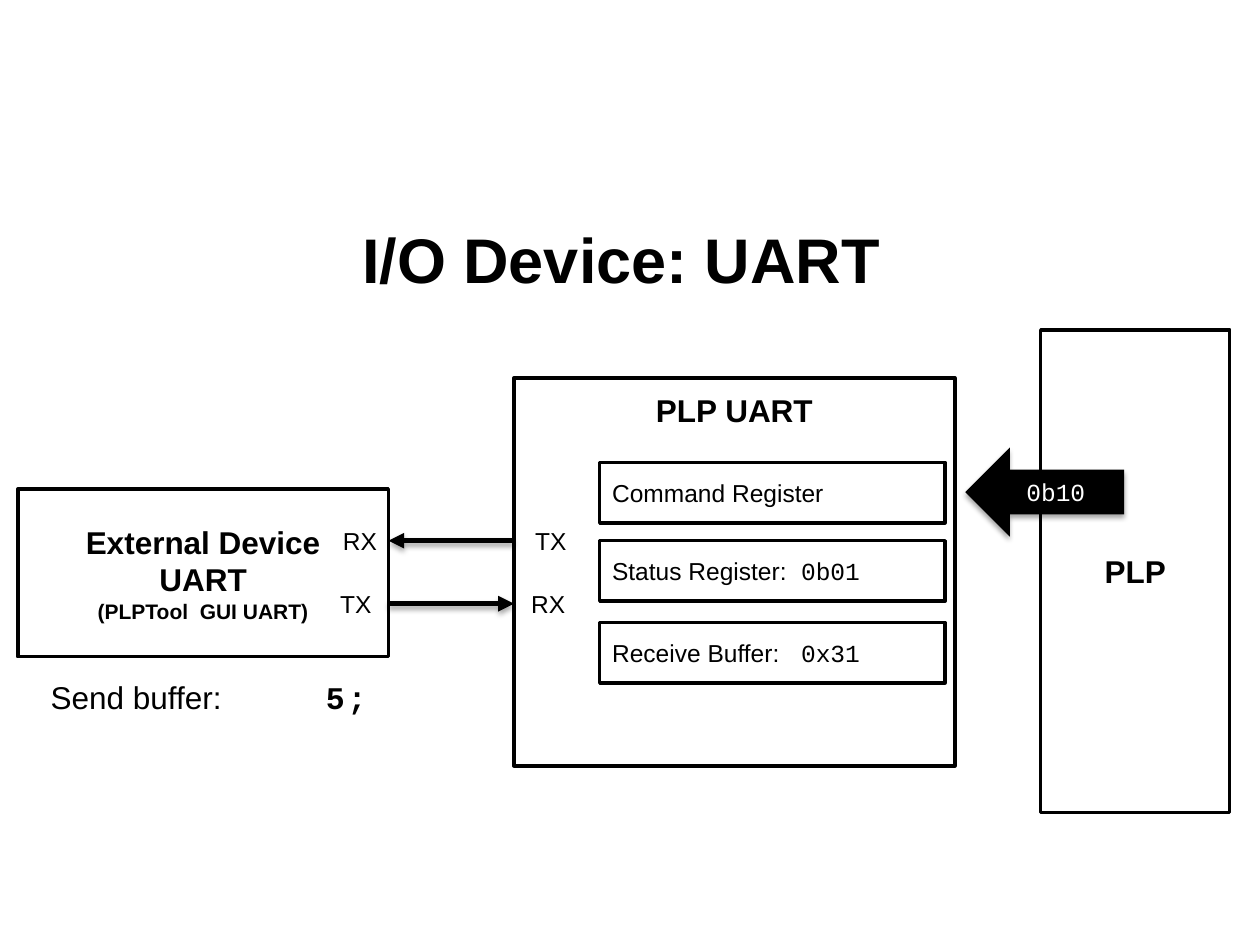
from dataclasses import dataclass

from lxml import etree
from pptx import Presentation
from pptx.dml.color import RGBColor
from pptx.enum.shapes import MSO_CONNECTOR, MSO_SHAPE
from pptx.enum.text import MSO_ANCHOR, PP_ALIGN
from pptx.oxml.ns import qn
from pptx.util import Cm, Pt

RECTANGLE = MSO_SHAPE.RECTANGLE
LEFT_ARROW = MSO_SHAPE.LEFT_ARROW
STRAIGHT = MSO_CONNECTOR.STRAIGHT
LEFT, CENTER, RIGHT = PP_ALIGN.LEFT, PP_ALIGN.CENTER, PP_ALIGN.RIGHT
TOP, MIDDLE = MSO_ANCHOR.TOP, MSO_ANCHOR.MIDDLE


@dataclass(frozen=True)
class Theme:
    black: RGBColor = RGBColor(0, 0, 0)
    white: RGBColor = RGBColor(255, 255, 255)
    font: str = "Arial"
    code_font: str = "Courier New"
    title: int = 36
    heading: int = 18
    label: int = 14
    note: int = 12
    outline: int = 2
    wire: int = 3


class Diagram:
    def __init__(self, slide, theme):
        self.slide = slide
        self.theme = theme

    def format_run(self, run, size, bold=False, code=False, color=None):
        font = run.font
        font.name = self.theme.code_font if code else self.theme.font
        font.size = Pt(size)
        font.bold = bold
        font.color.rgb = color or self.theme.black

    def fill_text(self, shape, text, size, align=LEFT, anchor=MIDDLE, **style):
        frame = shape.text_frame
        frame.text = text
        frame.vertical_anchor = anchor
        for paragraph in frame.paragraphs:
            paragraph.alignment = align
            for run in paragraph.runs:
                self.format_run(run, size, **style)
        return frame

    def text(self, box, text, size, align=LEFT, anchor=TOP, wrap=False, **style):
        shape = self.slide.shapes.add_textbox(*map(Cm, box))
        self.fill_text(shape, text, size, align, anchor, **style).word_wrap = wrap

    def block(self, box):
        shape = self.slide.shapes.add_shape(RECTANGLE, *map(Cm, box))
        shape.shadow.inherit = False
        shape.fill.solid()
        shape.fill.fore_color.rgb = self.theme.white
        shape.line.color.rgb = self.theme.black
        shape.line.width = Pt(self.theme.outline)
        return shape

    def register(self, box, label, value):
        size = self.theme.label
        text = f"{label}\t" if value else label
        paragraph = self.fill_text(self.block(box), text, size).paragraphs[0]
        if value:
            run = paragraph.add_run()
            run.text = value
            self.format_run(run, size, code=True)

    def drop_shadow(self, properties):
        effects = properties.find(qn("a:effectLst"))
        if effects is None:
            effects = etree.SubElement(properties, qn("a:effectLst"))
        shadow = etree.SubElement(
            effects, qn("a:outerShdw"), blurRad=str(Pt(3.1)),
            dist=str(Pt(1.8)), dir="5400000", rotWithShape="0")
        color = etree.SubElement(shadow, qn("a:srgbClr"), val=str(self.theme.black))
        etree.SubElement(color, qn("a:alpha"), val="35000")

    def wire(self, start, end, y):
        connector = self.slide.shapes.add_connector(
            STRAIGHT, Cm(start), Cm(y), Cm(end), Cm(y))
        connector.line.color.rgb = self.theme.black
        connector.line.width = Pt(self.theme.wire)
        properties = connector._element.spPr
        etree.SubElement(properties.find(qn("a:ln")), qn("a:tailEnd"), type="triangle")
        self.drop_shadow(properties)

    def block_arrow(self, box, text):
        shape = self.slide.shapes.add_shape(LEFT_ARROW, *map(Cm, box))
        shape.shadow.inherit = False
        shape.fill.solid()
        shape.fill.fore_color.rgb = self.theme.black
        shape.line.fill.background()
        self.drop_shadow(shape._element.spPr)
        self.fill_text(shape, text, self.theme.label, CENTER,
                       code=True, color=self.theme.white)


def main():
    presentation = Presentation()
    presentation.slide_width = Cm(25.4)
    presentation.slide_height = Cm(19.05)
    slide = presentation.slides.add_slide(presentation.slide_layouts[6])
    theme = Theme()
    diagram = Diagram(slide, theme)

    # Title
    diagram.text((1.27, 3.61, 22.86, 3.18), "I/O Device: UART ", theme.title,
                 CENTER, MIDDLE, wrap=True, bold=True)

    # External device and UART blocks
    external = diagram.block((0.36, 9.86, 7.47, 3.38))
    frame = diagram.fill_text(external, "External Device\nUART\n(PLPTool  GUI UART)",
                              theme.heading, CENTER, bold=True)
    frame.paragraphs[-1].runs[0].font.size = Pt(theme.note)
    diagram.block((10.36, 7.62, 8.89, 7.82))
    diagram.text((12.95, 7.75, 3.71, 1.02), "PLP UART", theme.heading,
                 CENTER, bold=True)

    # Pins and the wires between them
    external_edge, uart_edge = 7.83, 10.36
    pin_widths = {"RX": 1.22, "TX": 1.14}
    pin_rows = [
        (10.9, ("RX", 6.63), ("TX", 10.54), (uart_edge, external_edge)),
        (12.17, ("TX", 6.6), ("RX", 10.46), (external_edge, uart_edge)),
    ]
    for y, external_pin, uart_pin, (start, end) in pin_rows:
        for (name, left), align in ((external_pin, RIGHT), (uart_pin, LEFT)):
            diagram.text((left, y - 0.43, pin_widths[name], 0.86), name,
                         theme.label, align)
        diagram.wire(start, end, y)

    # Registers
    registers = [
        (9.32, "Command Register", None),
        (10.9, "Status Register:", "0b01"),
        (12.55, "Receive Buffer:", "0x31"),
    ]
    for top, label, value in registers:
        diagram.register((12.09, top, 6.96, 1.22), label, value)

    # Processor and the command it sends
    processor = diagram.block((20.98, 6.65, 3.81, 9.73))
    diagram.fill_text(processor, "PLP", theme.heading, CENTER, bold=True)
    diagram.block_arrow((19.46, 9.02, 3.2, 1.8), "0b10")

    # Send buffer
    diagram.text((0.74, 13.54, 4.01, 1.02), "Send buffer:", theme.heading, CENTER)
    for left, character in ((6.32, "5"), (6.76, ";")):
        diagram.text((left, 13.54, 0.86, 1.02), character, theme.heading,
                     bold=True, code=True)

    presentation.save("out.pptx")


if __name__ == "__main__":
    main()
